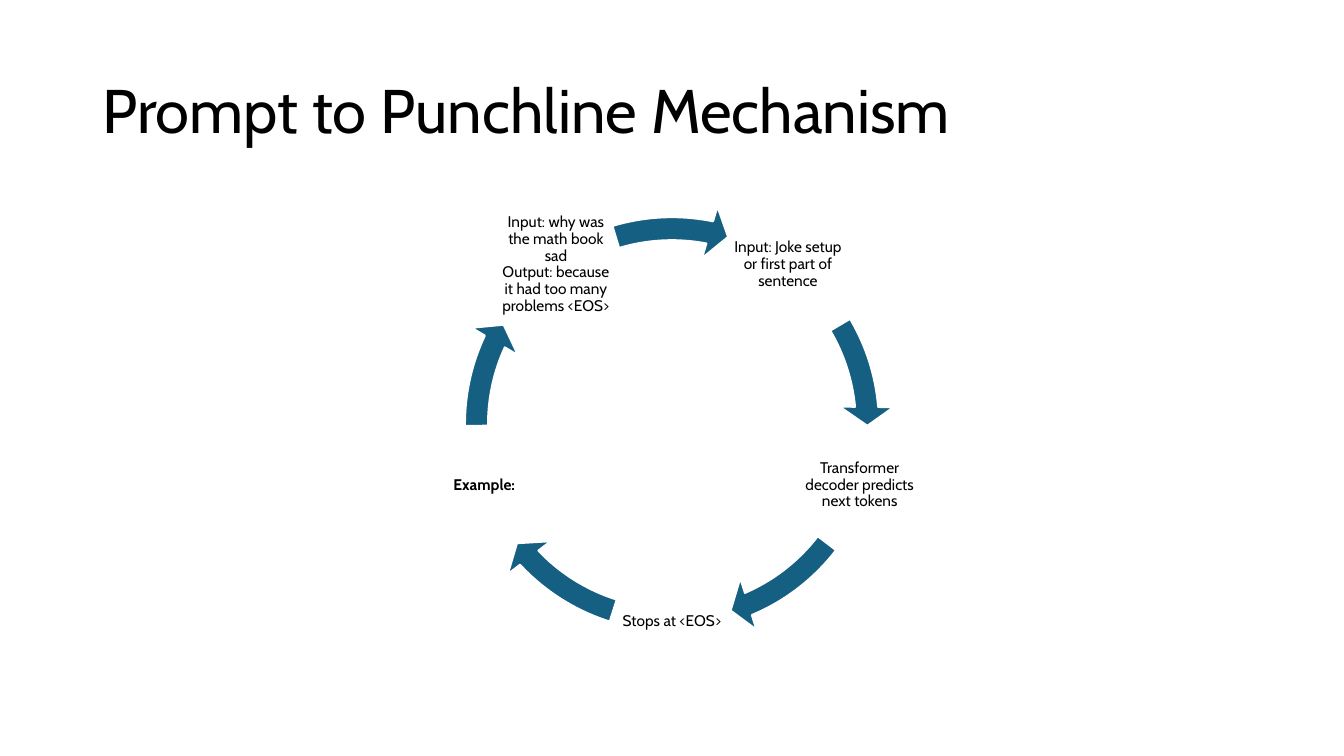
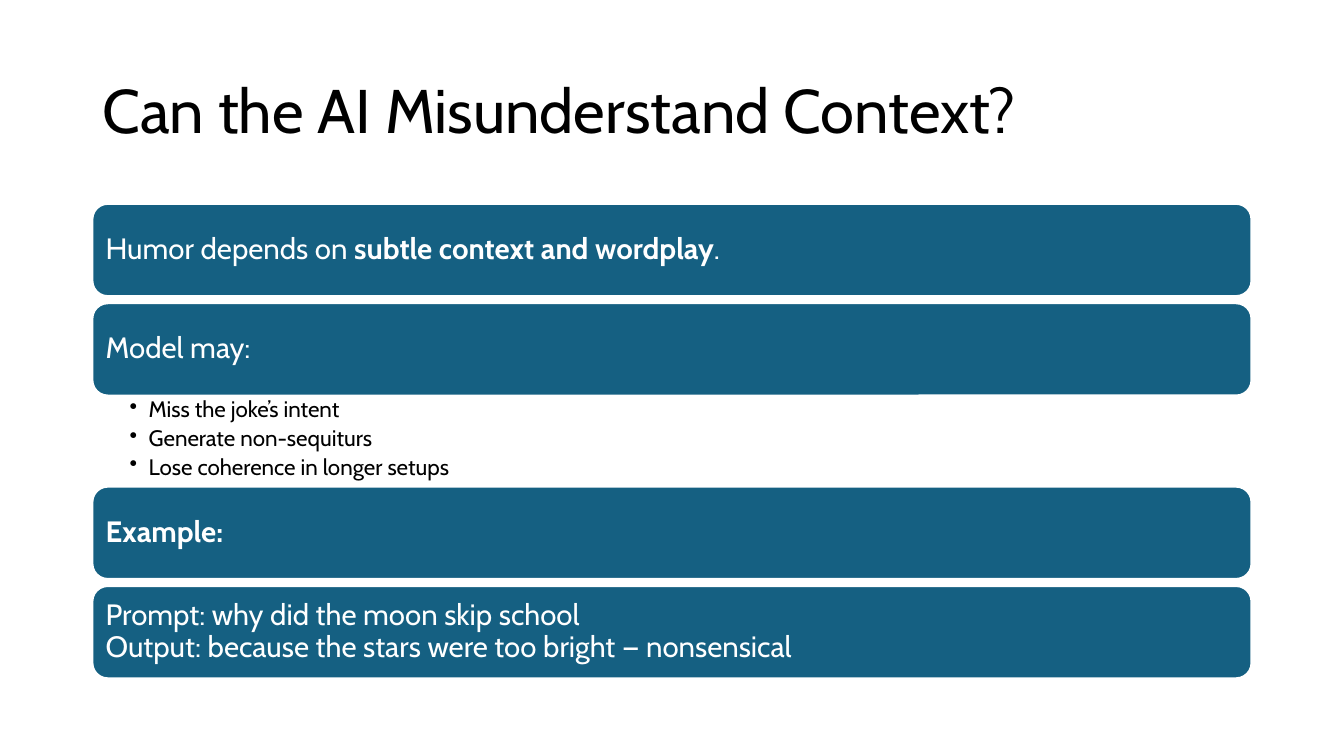
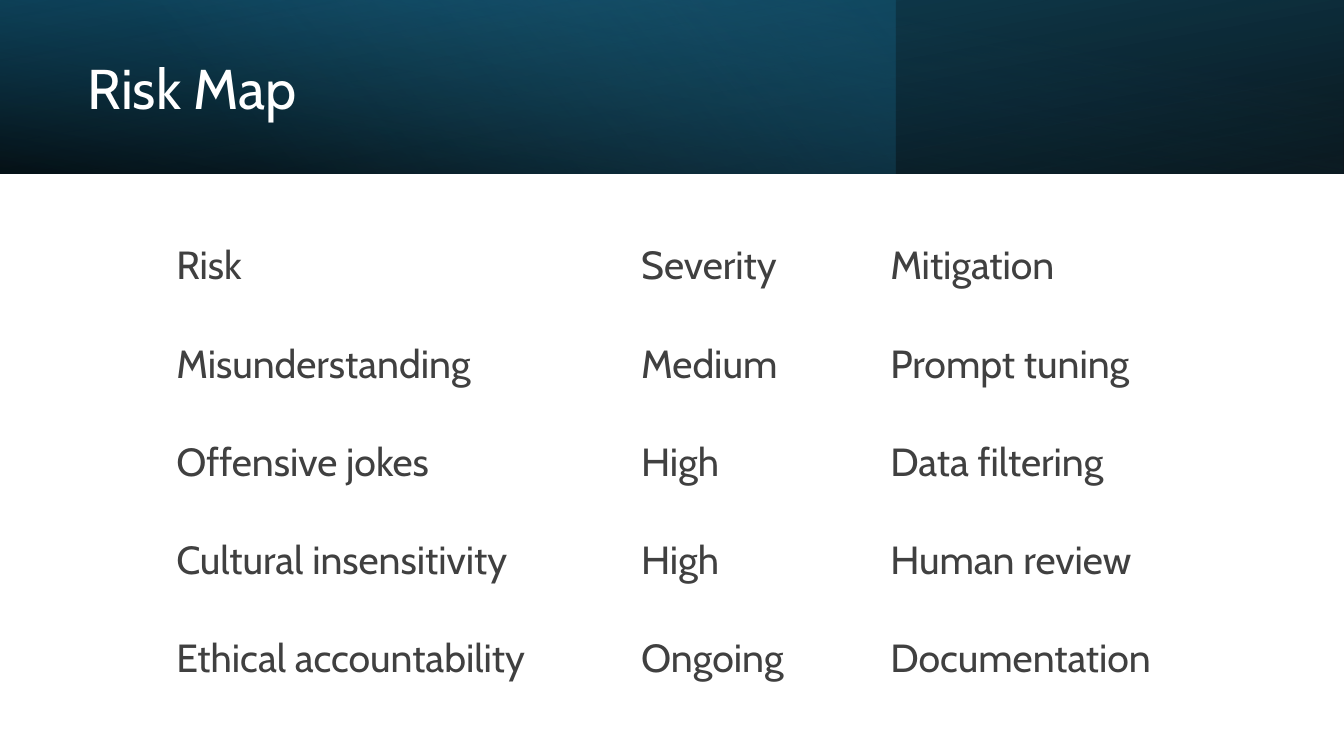
"""Build three slides: a prompt cycle, a list of context pitfalls and a risk table."""
import math
from dataclasses import dataclass
from typing import Any, Optional, Sequence

import lxml.etree
import pptx
import pptx.dml.color
import pptx.enum.shapes
import pptx.enum.text
import pptx.oxml.ns
import pptx.util

Pt = pptx.util.Pt
Shapes = pptx.enum.shapes.MSO_SHAPE
Align = pptx.enum.text.PP_ALIGN
Anchor = pptx.enum.text.MSO_ANCHOR
qn = pptx.oxml.ns.qn

FONT = "Cabin"
BLACK, WHITE, BLUE, GRAY = "000000", "FFFFFF", "156082", "404040"
SLIDE_WIDTH, SLIDE_HEIGHT = 960, 540
MARGIN, CONTENT_WIDTH = 66, 828


@dataclass(frozen=True)
class Box:
    left: float
    top: float
    width: float
    height: float

    def lengths(self) -> tuple:
        return Pt(self.left), Pt(self.top), Pt(self.width), Pt(self.height)


@dataclass(frozen=True)
class Step:
    text: str
    arrow_start: float
    arrow_end: float


@dataclass(frozen=True)
class Bar:
    text: str
    top: float


@dataclass(frozen=True)
class Stop:
    position: float
    color: str
    opacity: int


@dataclass(frozen=True)
class Band:
    width: float
    angle: float
    stops: tuple
    rotation: int = 0
    flipped: bool = False


TITLE_BOX = Box(MARGIN, 28.8, CONTENT_WIDTH, 104.4)

STEPS = (
    Step("Input: Joke setup or first part of sentence", 329.41, 354.92),
    Step("Transformer decoder predicts next tokens", 37.52, 66.95),
    Step("Stops at <EOS>", 107.46, 136.89),
    Step("*Example:*", 179.49, 205),
    Step("Input: why was the math book sad\n"
         "Output: because it had too many problems <EOS>", 253.28, 281.13),
)
CYCLE_X, CYCLE_Y, CYCLE_RADIUS = 480, 303, 141
NODE_SIDE, RING_SIDE = 85, 318

BAR_HEIGHT = 66
BARS = (
    Bar("Humor depends on *subtle context and wordplay*.", 145.6),
    Bar("Model may:", 216.6),
    Bar("*Example:*", 347.6),
    Bar("Prompt: why did the moon skip school\n"
        "Output: because the stars were too bright — nonsensical", 418.6),
)
PITFALLS = ("Miss the joke’s intent", "Generate non-sequiturs",
            "Lose coherence in longer setups")

BAND_HEIGHT = 124
BANDS = (
    Band(SLIDE_WIDTH, 100, (Stop(0, BLACK, 96), Stop(1, "104862", 100)), 180, True),
    Band(640, 140, (Stop(0, BLUE, 41), Stop(0.74, "46B1E1", 0))),
    Band(SLIDE_WIDTH, 260, (Stop(0, BLACK, 63), Stop(0.78, BLUE, 15)), 0, True),
)
RISKS = (
    ("Risk", "Severity", "Mitigation"),
    ("Misunderstanding", "Medium", "Prompt tuning"),
    ("Offensive jokes", "High", "Data filtering"),
    ("Cultural insensitivity", "High", "Human review"),
    ("Ethical accountability", "Ongoing", "Documentation"),
)
COLUMN_WIDTHS = (332, 178, 260)
ROW_HEIGHT = 70.2


def rgb(color: str) -> pptx.dml.color.RGBColor:
    return pptx.dml.color.RGBColor.from_string(color)


def write_text(frame: Any, paragraphs: Sequence[str], *, size: float, color: str,
               align: Any = Align.LEFT, spacing: float = 0.9, after: float = 0,
               bullet_indent: Optional[float] = None) -> None:
    for index, text in enumerate(paragraphs):
        para = frame.paragraphs[0] if index == 0 else frame.add_paragraph()
        para.alignment = align
        para.line_spacing = spacing
        para.space_after = Pt(after)
        if bullet_indent is not None:
            properties = para._p.get_or_add_pPr()
            properties.set("marL", str(Pt(bullet_indent)))
            properties.set("indent", str(-Pt(bullet_indent)))
            lxml.etree.SubElement(properties, qn("a:buChar")).set("char", "•")
        for part, chunk in enumerate(text.split("*")):
            for number, line in enumerate(chunk.split("\n")):
                if number:
                    para.add_line_break()
                if line:
                    span = para.add_run()
                    span.text = line
                    span.font.name = FONT
                    span.font.size = Pt(size)
                    span.font.bold = part % 2 == 1
                    span.font.color.rgb = rgb(color)


def set_frame(frame: Any, insets: Sequence[float], anchor: Any = Anchor.MIDDLE) -> Any:
    frame.word_wrap = True
    frame.vertical_anchor = anchor
    (frame.margin_left, frame.margin_top,
     frame.margin_right, frame.margin_bottom) = (Pt(inset) for inset in insets)
    return frame


def add_text(page: Any, box: Box, paragraphs: Sequence[str], *,
             insets: Sequence[float] = (7.2, 3.6, 7.2, 3.6),
             anchor: Any = Anchor.MIDDLE, **text_format: Any) -> None:
    frame = page.shapes.add_textbox(*box.lengths()).text_frame
    write_text(set_frame(frame, insets, anchor), paragraphs, **text_format)


def add_title(page: Any, text: str, *, box: Box = TITLE_BOX, size: float = 44,
              color: str = BLACK) -> None:
    add_text(page, box, [text], size=size, color=color)


def add_solid(page: Any, kind: Any, box: Box) -> Any:
    shape = page.shapes.add_shape(kind, *box.lengths())
    shape.shadow.inherit = False
    shape.fill.solid()
    shape.fill.fore_color.rgb = rgb(BLUE)
    shape.line.color.rgb = rgb(WHITE)
    shape.line.width = Pt(1.5)
    return shape


def centred_square(x: float, y: float, side: float) -> Box:
    return Box(x - side / 2, y - side / 2, side, side)


def add_band(page: Any, band: Band) -> None:
    box = Box(0, 0, band.width, BAND_HEIGHT)
    shape = page.shapes.add_shape(Shapes.RECTANGLE, *box.lengths())
    shape.shadow.inherit = False
    shape.line.fill.background()
    shape.rotation = band.rotation
    properties = shape.element.spPr
    if band.flipped:
        properties.find(qn("a:xfrm")).set("flipH", "1")
    shape.fill.gradient()
    shape.fill.gradient_angle = 360 - band.angle
    for target, stop in zip(shape.fill.gradient_stops, band.stops):
        target.position = stop.position
        target.color.rgb = rgb(stop.color)
    for node, stop in zip(properties.iter(qn("a:srgbClr")), band.stops):
        lxml.etree.SubElement(node, qn("a:alpha")).set("val", str(stop.opacity * 1000))


def draw_cycle(page: Any) -> None:
    add_title(page, "Prompt to Punchline Mechanism")
    ring = centred_square(CYCLE_X, CYCLE_Y, RING_SIDE)
    for index, step in enumerate(STEPS):
        angle = math.radians(-54 + index * 360 / len(STEPS))
        node = centred_square(CYCLE_X + CYCLE_RADIUS * math.cos(angle),
                              CYCLE_Y + CYCLE_RADIUS * math.sin(angle), NODE_SIDE)
        add_text(page, node, [step.text], insets=(1.1,) * 4, size=11, color=BLACK,
                 align=Align.CENTER)
        arrow = add_solid(page, Shapes.CIRCULAR_ARROW, ring)
        settings = (0.052, 5.59 * 0.6, step.arrow_end * 0.6, step.arrow_start * 0.6, 0.061)
        for position, value in enumerate(settings):
            arrow.adjustments[position] = value


def draw_context(page: Any) -> None:
    add_title(page, "Can the AI Misunderstand Context?")
    for bar in BARS:
        shape = add_solid(page, Shapes.ROUNDED_RECTANGLE,
                          Box(MARGIN, bar.top, CONTENT_WIDTH, BAR_HEIGHT))
        frame = set_frame(shape.text_frame, (6.3, 6.3, 6.3, 6.3))
        write_text(frame, [bar.text], size=21, color=WHITE)
    add_text(page, Box(MARGIN, 282.5, CONTENT_WIDTH, 65), PITFALLS,
             insets=(26.6, 2.2, 11.5, 2.2), anchor=Anchor.TOP, size=16, color=BLACK,
             after=3.2, bullet_indent=13.7)


def draw_risks(page: Any) -> None:
    for band in BANDS:
        add_band(page, band)
    add_title(page, "Risk Map", box=Box(55.6, 19.4, 556, 91.4), size=40, color=WHITE)
    box = Box(95, 154.8, sum(COLUMN_WIDTHS), ROW_HEIGHT * len(RISKS))
    table = page.shapes.add_table(len(RISKS), len(COLUMN_WIDTHS), *box.lengths()).table
    table.first_row = table.horz_banding = False
    for column, width in zip(table.columns, COLUMN_WIDTHS):
        column.width = Pt(width)
    for row, texts in zip(table.rows, RISKS):
        row.height = Pt(ROW_HEIGHT)
        for cell, text in zip(row.cells, texts):
            cell.fill.background()
            cell.vertical_anchor = Anchor.MIDDLE
            cell.margin_left, cell.margin_right = Pt(31), Pt(23)
            cell.margin_top = cell.margin_bottom = Pt(15)
            write_text(cell.text_frame, [text], size=28, color=GRAY, spacing=1.0)


def main() -> None:
    deck = pptx.Presentation()
    deck.slide_width, deck.slide_height = Pt(SLIDE_WIDTH), Pt(SLIDE_HEIGHT)
    for draw in (draw_cycle, draw_context, draw_risks):
        draw(deck.slides.add_slide(deck.slide_layouts[6]))
    deck.save("out.pptx")


if __name__ == "__main__":
    main()
